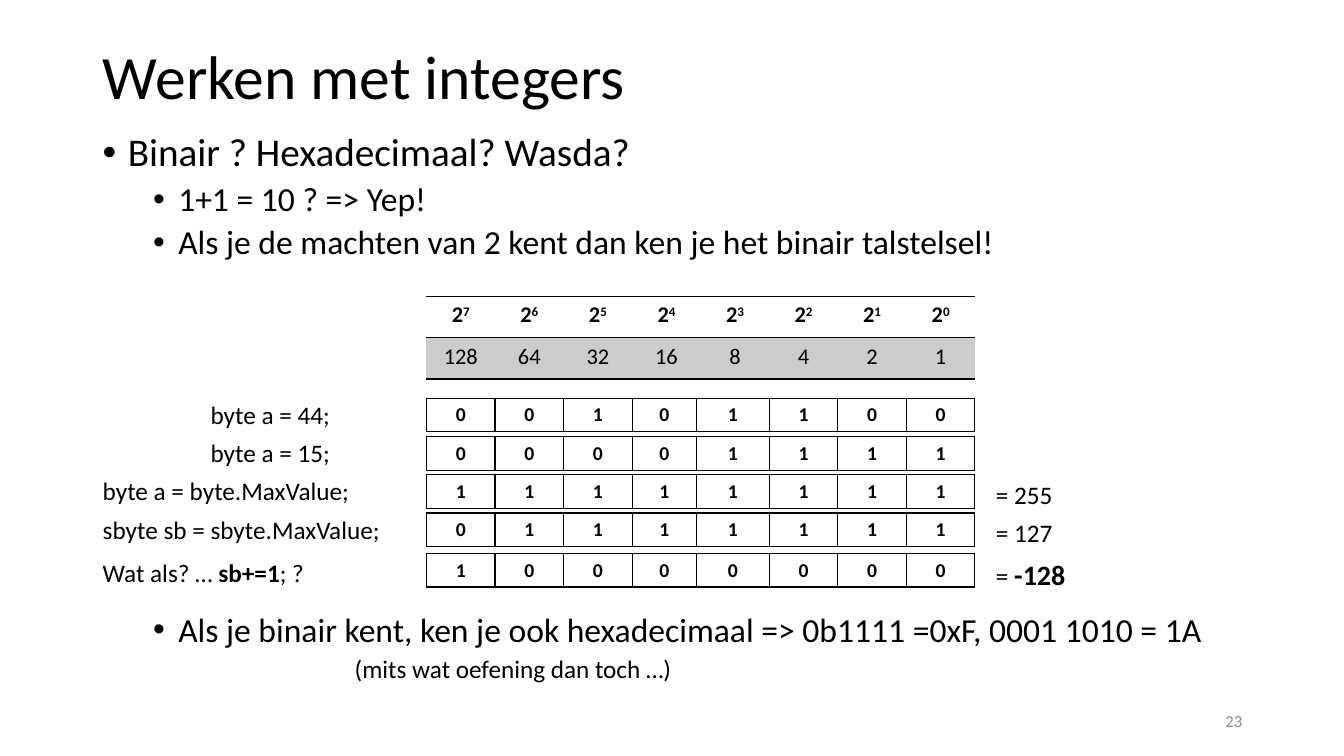
import pptx
import pptx.dml.color
import pptx.enum.text
import pptx.oxml
import pptx.oxml.ns
import pptx.util
from pptx.util import Inches

ALIGN = pptx.enum.text.PP_ALIGN
ANCHOR = pptx.enum.text.MSO_ANCHOR
BLACK, GRAY, SHADE = "000000", "8C8C8C", "CCCCCC"


def color(value):
    return pptx.dml.color.RGBColor.from_string(value)


def apply(target, values):
    for name, value in values.items():
        setattr(target, name, value)


class SlideBuilder:
    font_name = "Calibri"

    def __init__(self, slide):
        self.slide = slide

    def add_run(self, paragraph, text, size, bold=False, ink=BLACK, raised=False):
        run = paragraph.add_run()
        run.text = text
        apply(run.font, {"name": self.font_name, "size": pptx.util.Pt(size), "bold": bold})
        run.font.color.rgb = color(ink)
        if raised:
            run.font._element.set("baseline", "30000")

    def title(self, text, left, top, width, height):
        shape = self.slide.shapes.title
        apply(shape, {"left": Inches(left), "top": Inches(top),
                      "width": Inches(width), "height": Inches(height)})
        apply(shape.text_frame, {"vertical_anchor": ANCHOR.MIDDLE, "word_wrap": True,
                                 "auto_size": pptx.enum.text.MSO_AUTO_SIZE.NONE})
        paragraph = shape.text_frame.paragraphs[0]
        apply(paragraph, {"alignment": ALIGN.LEFT, "line_spacing": 0.9})
        self.add_run(paragraph, text, 44)

    def text_box(self, left, top, width, height, anchor=ANCHOR.TOP):
        shape = self.slide.shapes.add_textbox(
            Inches(left), Inches(top), Inches(width), Inches(height))
        apply(shape.text_frame, {"word_wrap": True, "vertical_anchor": anchor})
        return shape.text_frame

    def label(self, runs, left, top, width, height=0.4, alignment=ALIGN.LEFT,
              anchor=ANCHOR.TOP):
        paragraph = self.text_box(left, top, width, height, anchor).paragraphs[0]
        paragraph.alignment = alignment
        for run in runs:
            self.add_run(paragraph, **run)

    def body(self, items, left, top, width, height):
        frame = self.text_box(left, top, width, height)
        for index, (text, size, level, indent, before, bullet) in enumerate(items):
            paragraph = frame.add_paragraph() if index else frame.paragraphs[0]
            apply(paragraph, {"level": level, "line_spacing": 0.9,
                              "space_before": pptx.util.Pt(before)})
            properties = paragraph._p.get_or_add_pPr()
            properties.set("marL", str(Inches(indent)))
            properties.set("indent", str(Inches(-0.25 if bullet else 0)))
            if bullet:
                for tag in ('buFont typeface="Arial"', 'buChar char="•"'):
                    properties.append(pptx.oxml.parse_xml(
                        f"<a:{tag} {pptx.oxml.ns.nsdecls('a')}/>"))
            self.add_run(paragraph, text, size)

    def borders(self, cell, sides):
        properties = cell._tc.get_or_add_tcPr()
        for index, side in enumerate("LRTB"):
            fill = (f'<a:solidFill><a:srgbClr val="{BLACK}"/></a:solidFill>'
                    if side in sides else "<a:noFill/>")
            properties.insert(index, pptx.oxml.parse_xml(
                f'<a:ln{side} w="12700" {pptx.oxml.ns.nsdecls("a")}>{fill}</a:ln{side}>'))

    def table(self, rows, left, top, widths, row_height, sides, fills):
        """Each cell is a list of run formats."""
        table = self.slide.shapes.add_table(
            len(rows), len(widths), Inches(left), Inches(top),
            Inches(sum(widths)), Inches(row_height * len(rows))).table
        apply(table, {"first_row": False, "horz_banding": False})
        for column, width in zip(table.columns, widths):
            column.width = Inches(width)
        for row_index, (row, fill) in enumerate(zip(rows, fills)):
            table.rows[row_index].height = Inches(row_height)
            for column_index, runs in enumerate(row):
                cell = table.cell(row_index, column_index)
                if fill:
                    cell.fill.solid()
                    cell.fill.fore_color.rgb = color(fill)
                else:
                    cell.fill.background()
                self.borders(cell, sides)
                paragraph = cell.text_frame.paragraphs[0]
                paragraph.alignment = ALIGN.CENTER
                for run in runs:
                    self.add_run(paragraph, **run)


def main():
    presentation = pptx.Presentation()
    apply(presentation, {"slide_width": Inches(13.33), "slide_height": Inches(7.5)})
    builder = SlideBuilder(presentation.slides.add_slide(presentation.slide_layouts[5]))

    # Title and bullets; the wide spacing leaves room for the tables
    builder.title("Werken met integers", 0.92, 0.4, 11.5, 0.78)
    builder.body([
        ("Binair ? Hexadecimaal? Wasda?", 28, 0, 0.25, 10, True),
        ("1+1 = 10 ? => Yep!", 24, 1, 0.75, 5, True),
        ("Als je de machten van 2 kent dan ken je het binair talstelsel!",
         24, 1, 0.75, 5, True),
        ("Als je binair kent, ken je ook hexadecimaal => 0b1111 =0xF, 0001 1010 = 1A",
         24, 1, 0.75, 251, True),
        ("(mits wat oefening dan toch …)", 18, 3, 2.5, 5, False),
    ], 0.92, 1.27, 11.5, 5.69)

    # Powers of two
    table_left = 4.23
    exponents = range(7, -1, -1)
    powers = [[{"text": "2", "size": 16, "bold": True},
               {"text": str(exponent), "size": 16, "bold": True, "raised": True}]
              for exponent in exponents]
    values = [[{"text": str(2 ** exponent), "size": 16}] for exponent in exponents]
    builder.table([powers, values], table_left, 2.94, [0.68] * 8, 0.41, "TB",
                  [None, SHADE])

    # Bit patterns with their code and result
    bit_widths = [0.68] * 3 + [0.64, 0.72] + [0.68] * 3
    code = {"size": 18}
    strong = {"size": 18, "bold": True}
    examples = [
        ("00101100", 3.95, 1.99, 3.91, [{"text": "byte a = 44;", **code}]),
        ("00001111", 4.33, 1.99, 4.29, [{"text": "byte a = 15;", **code}]),
        ("11111111", 4.71, 0.92, 4.67, [{"text": "byte a = byte.MaxValue;", **code}]),
        ("01111111", 5.09, 0.92, 5.05, [{"text": "sbyte sb = sbyte.MaxValue;", **code}]),
        ("10000000", 5.49, 0.92, 5.48, [{"text": "Wat als? … ", **code},
                                        {"text": "sb+=1", **strong},
                                        {"text": "; ?", **code}]),
    ]
    for bits, table_top, label_left, label_top, runs in examples:
        cells = [[{"text": bit, "size": 14, "bold": True}] for bit in bits]
        builder.table([cells], table_left, table_top, bit_widths, 0.33, "LRTB", [None])
        builder.label(runs, label_left, label_top, 4.02 - label_left)

    results = [
        (4.71, [{"text": "= 255", **code}]),
        (5.08, [{"text": "= 127", **code}]),
        (5.48, [{"text": "= ", **code}, {"text": "-128", "size": 20, "bold": True}]),
    ]
    for top, runs in results:
        builder.label(runs, 9.78, top, 1.14)

    # Slide number
    builder.label([{"text": "23", "size": 12, "ink": GRAY}], 9.42, 6.95, 3,
                  alignment=ALIGN.RIGHT, anchor=ANCHOR.MIDDLE)

    presentation.save("out.pptx")


if __name__ == "__main__":
    main()
